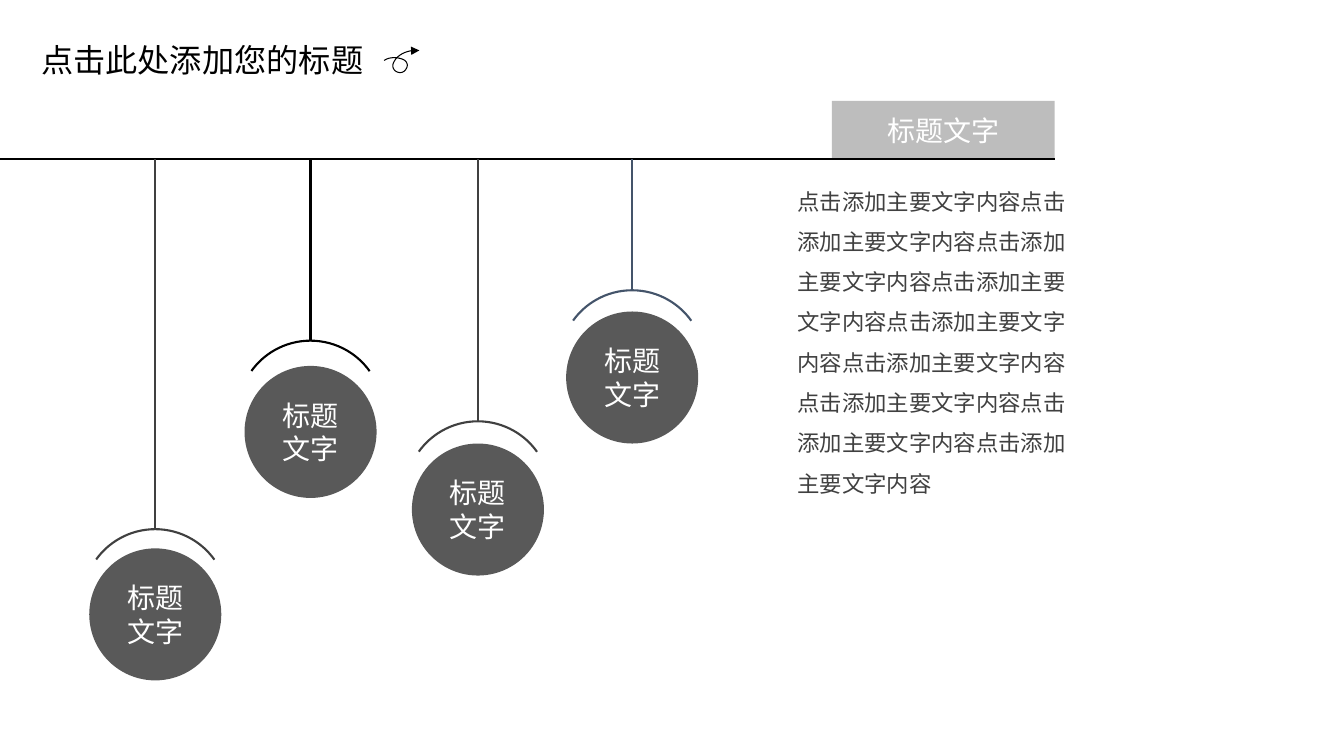
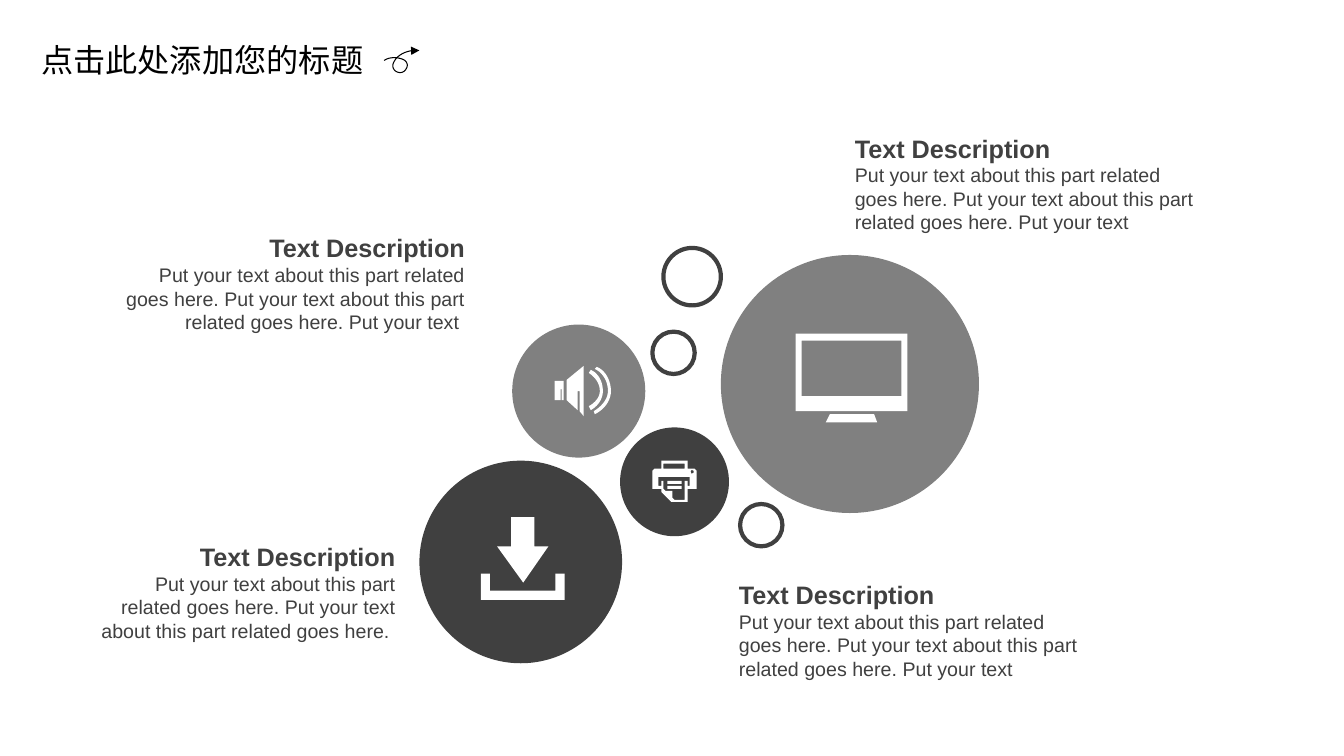
from dataclasses import dataclass

from lxml.etree import SubElement
from pptx import Presentation
from pptx.dml.color import RGBColor
from pptx.enum.shapes import MSO_CONNECTOR, MSO_SHAPE
from pptx.enum.text import MSO_ANCHOR, PP_ALIGN
from pptx.oxml.ns import qn
from pptx.util import Inches, Pt

ARC = MSO_SHAPE.ARC
OVAL = MSO_SHAPE.OVAL
RECTANGLE = MSO_SHAPE.RECTANGLE
STRAIGHT = MSO_CONNECTOR.STRAIGHT
LEFT = PP_ALIGN.LEFT
CENTER = PP_ALIGN.CENTER
RIGHT = PP_ALIGN.RIGHT
TOP = MSO_ANCHOR.TOP
MIDDLE = MSO_ANCHOR.MIDDLE


@dataclass(frozen=True)
class Theme:
    font: str = "Arial"
    black: str = "000000"
    white: str = "FFFFFF"
    dark: str = "404040"
    ball: str = "595959"
    grey: str = "808080"
    banner: str = "262626"
    navy: str = "44546A"
    title_size: float = 23
    label_size: float = 20
    heading_size: float = 18
    body_size: float = 16
    note_size: float = 14
    thin: float = 1.5
    thick: float = 3


THEME = Theme()

BODY_TEXT = "点击添加主要文字内容" * 9
SENTENCE = "Put your text about this part related goes here. "
RAIL_TOP = 1.58

PENDULUMS = [
    (1.54, 5.25, 5.44, THEME.dark),
    (3.08, 3.38, 3.63, THEME.black),
    (4.74, 4.18, 4.4, THEME.dark),
    (6.27, 2.88, 3.09, THEME.navy),
]

DESCRIPTIONS = [
    (1.01, 2.26, 3.7, RIGHT, SENTENCE * 2 + "Put your text "),
    (0.83, 5.32, 3.19, RIGHT, SENTENCE * 2),
    (8.38, 1.27, 3.7, LEFT, SENTENCE * 2 + "Put your text"),
    (7.23, 5.7, 3.7, LEFT, SENTENCE * 2 + "Put your text"),
]

DISCS = [
    (4.16, 4.57, 2.01, THEME.dark),
    (6.15, 4.24, 1.08, THEME.dark),
    (7.15, 2.53, 2.56, THEME.grey),
    (5.08, 3.22, 1.32, THEME.grey),
]

RINGS = [(6.58, 2.46, 0.57), (6.47, 3.29, 0.42), (7.34, 5, 0.42)]

SWIRL = [
    (3.81, 0.6),
    (3.85, 0.57, 3.93, 0.56, 4, 0.59),
    (4.04, 0.61, 4.05, 0.65, 4.03, 0.68),
    (4.01, 0.72, 3.97, 0.73, 3.93, 0.71),
    (3.9, 0.69, 3.89, 0.66, 3.9, 0.63),
    (3.93, 0.55, 4.03, 0.49, 4.16, 0.5),
]


def box_contour(left, top, right, bottom):
    return [(left, top), (right, top), (right, bottom), (left, bottom)]


SPEAKER = [
    [(6.03, 3.88), (6.03, 3.78, 5.98, 3.7, 5.9, 3.66), (5.92, 3.64),
     (6, 3.67, 6.06, 3.77, 6.06, 3.88), (6.06, 3.97, 6, 4.06, 5.9, 4.11),
     (5.89, 4.08), (5.97, 4.03, 6.03, 3.96, 6.03, 3.88)],
    [(5.95, 3.88), (5.95, 3.8, 5.9, 3.74, 5.84, 3.7), (5.86, 3.67),
     (5.93, 3.7, 5.98, 3.78, 5.98, 3.88), (5.98, 3.96, 5.93, 4.03, 5.86, 4.07),
     (5.84, 4.03), (5.9, 4, 5.95, 3.94, 5.95, 3.88)],
    [(5.62, 3.77), (5.62, 3.97), (5.73, 4.07), (5.73, 3.88), (5.75, 3.88),
     (5.75, 4.08), (5.79, 4.13), (5.79, 3.63)],
    [(5.5, 3.78), (5.5, 3.97), (5.56, 3.97), (5.56, 3.86), (5.57, 3.86),
     (5.57, 3.97), (5.59, 3.97), (5.59, 3.78)],
]

MONITOR = [
    [(8.23, 4.11), (8.67, 4.11), (8.7, 4.19), (8.19, 4.19)],
    box_contour(7.95, 3.38, 8.94, 3.93),
    box_contour(7.89, 3.31, 9, 4.08),
]

PRINTER = [
    [(6.89, 4.65), (6.82, 4.65), (6.82, 4.57), (6.56, 4.57), (6.56, 4.65),
     (6.49, 4.65), (6.47, 4.67), (6.47, 4.85), (6.56, 4.85), (6.56, 4.88),
     (6.66, 4.98), (6.82, 4.98), (6.82, 4.85), (6.91, 4.85), (6.91, 4.67)],
    box_contour(6.58, 4.6, 6.79, 4.65),
    [(6.84, 4.82), (6.82, 4.82), (6.82, 4.77), (6.79, 4.77), (6.79, 4.96),
     (6.69, 4.96), (6.67, 4.94), (6.67, 4.87), (6.6, 4.87), (6.58, 4.85),
     (6.58, 4.77), (6.56, 4.77), (6.56, 4.82), (6.53, 4.82), (6.53, 4.73),
     (6.84, 4.73)],
    [(6.85, 4.68), (6.86, 4.66), (6.88, 4.67), (6.88, 4.69), (6.86, 4.7)],
    box_contour(6.62, 4.77, 6.76, 4.8),
    box_contour(6.62, 4.82, 6.76, 4.85),
]

DOWNLOAD = [
    [(4.77, 5.69), (4.86, 5.69), (4.86, 5.86), (5.51, 5.86), (5.51, 5.69),
     (5.6, 5.69), (5.6, 5.95), (4.77, 5.95)],
    [(5.07, 5.13), (5.3, 5.13), (5.3, 5.42), (5.44, 5.42), (5.19, 5.78),
     (4.93, 5.42), (5.07, 5.42)],
]


def set_attributes(target, values):
    for name, value in values.items():
        setattr(target, name, value)


def write_text(shape, lines, size, color, align=LEFT, anchor=TOP, bold=False,
               wrap=True, insets=(0.1, 0.05), spacing=None):
    frame = shape.text_frame
    horizontal, vertical = map(Inches, insets)
    set_attributes(frame, {
        "word_wrap": wrap, "vertical_anchor": anchor,
        "margin_left": horizontal, "margin_right": horizontal,
        "margin_top": vertical, "margin_bottom": vertical,
    })
    for index, line in enumerate(lines):
        paragraph = frame.add_paragraph() if index else frame.paragraphs[0]
        set_attributes(paragraph, {"alignment": align, **(spacing or {})})
        run = paragraph.add_run()
        run.text = line
        set_attributes(run.font, {"name": THEME.font, "size": Pt(size), "bold": bold})
        run.font.color.rgb = RGBColor.from_string(color)


def add_text(slide, box, lines, size, color, **options):
    shape = slide.shapes.add_textbox(*map(Inches, box))
    write_text(shape, lines, size, color, **options)


def set_line(shape, color, width):
    shape.line.color.rgb = RGBColor.from_string(color)
    shape.line.width = Pt(width)


def style_shape(shape, fill=None, line=None, width=THEME.thin):
    shape.shadow.inherit = False
    if fill:
        shape.fill.solid()
        shape.fill.fore_color.rgb = RGBColor.from_string(fill)
    else:
        shape.fill.background()
    if line:
        set_line(shape, line, width)
    else:
        shape.line.fill.background()


def add_preset(slide, kind, box, **style):
    shape = slide.shapes.add_shape(kind, *map(Inches, box))
    style_shape(shape, **style)
    return shape


def add_line(slide, start, end, color):
    line = slide.shapes.add_connector(STRAIGHT, *map(Inches, start + end))
    set_line(line, color, THEME.thin)
    SubElement(line.element.spPr, qn("a:effectLst"))


def flatten(segments, steps=10):
    points = [segments[0]]
    for segment in segments[1:]:
        if len(segment) == 2:
            points.append(segment)
            continue
        controls = [points[-1], segment[:2], segment[2:4], segment[4:]]
        for step in range(1, steps + 1):
            t = step / steps
            weights = ((1 - t) ** 3, 3 * t * (1 - t) ** 2, 3 * t * t * (1 - t), t ** 3)
            points.append(tuple(
                sum(weight * control[axis] for weight, control in zip(weights, controls))
                for axis in (0, 1)))
    return [(Inches(x), Inches(y)) for x, y in points]


def add_outline(slide, contours, closed=True, **style):
    outlines = [flatten(contour) for contour in contours]
    builder = slide.shapes.build_freeform(*outlines[0][0], scale=1.0)
    for index, points in enumerate(outlines):
        if index:
            builder.move_to(*points[0])
        builder.add_line_segments(points[1:], close=closed)
    shape = builder.convert_to_shape()
    style_shape(shape, **style)
    return shape


def add_title(slide):
    add_text(slide, (0.31, 0.35, 3.43, 0.49), ["点击此处添加您的标题"],
             THEME.title_size, THEME.black, wrap=False)
    swirl = add_outline(slide, [SWIRL], closed=False, line=THEME.black, width=0.75)
    SubElement(swirl.element.spPr.find(qn("a:ln")), qn("a:tailEnd"), type="triangle")


def add_banner(slide):
    banner = add_preset(slide, RECTANGLE, (8.25, 1, 2.21, 0.58), fill=THEME.banner)
    color = banner.element.spPr.find(f"{qn('a:solidFill')}/{qn('a:srgbClr')}")
    SubElement(color, qn("a:alpha"), val="30000")
    write_text(banner, ["标题文字"], THEME.label_size, THEME.white,
               align=CENTER, anchor=MIDDLE)


def add_pendulum(slide, center, arc_top, ball_top, color):
    arc_size, ball_size = 1.44, 1.31
    add_line(slide, (center, RAIL_TOP), (center, arc_top), color)
    arc = add_preset(slide, ARC, (center - arc_size / 2, arc_top, arc_size, arc_size),
                     line=color)
    arc.adjustments[0] = 129.36
    arc.adjustments[1] = 194.76
    ball = add_preset(slide, OVAL,
                      (center - ball_size / 2, ball_top, ball_size, ball_size),
                      fill=THEME.ball)
    write_text(ball, ["标题", "文字"], THEME.label_size, THEME.white,
               align=CENTER, anchor=MIDDLE)


def add_description(slide, left, top, width, align, text):
    heading_width = 2.2
    heading_left = left + width - heading_width if align == RIGHT else left
    add_text(slide, (left, top + 0.3, width, 0.81), [text], THEME.note_size,
             THEME.dark, align=align, spacing={"space_after": Pt(6)})
    add_text(slide, (heading_left, top, heading_width, 0.4), ["Text Description"],
             THEME.heading_size, THEME.dark, align=align, bold=True)


def build_pendulum_slide(slide):
    add_title(slide)
    add_text(slide, (7.78, 1.66, 3.05, 3.37), [BODY_TEXT], THEME.body_size, THEME.dark,
             insets=(0.13, 0.07), spacing={"line_spacing": 1.5})
    add_banner(slide)
    add_line(slide, (0, RAIL_TOP), (10.46, RAIL_TOP), THEME.black)
    for pendulum in PENDULUMS:
        add_pendulum(slide, *pendulum)


def build_bubble_slide(slide):
    add_title(slide)
    for description in DESCRIPTIONS:
        add_description(slide, *description)
    for left, top, size, color in DISCS:
        add_preset(slide, OVAL, (left, top, size, size), fill=color)
    for left, top, size in RINGS:
        add_preset(slide, OVAL, (left, top, size, size), line=THEME.dark,
                   width=THEME.thick)
    for icon in (SPEAKER, MONITOR, PRINTER, DOWNLOAD):
        add_outline(slide, icon, fill=THEME.white)


def main():
    presentation = Presentation()
    presentation.slide_width = Inches(13.33)
    presentation.slide_height = Inches(7.5)
    blank = presentation.slide_layouts[6]
    for build in (build_pendulum_slide, build_bubble_slide):
        build(presentation.slides.add_slide(blank))
    presentation.save("out.pptx")


if __name__ == "__main__":
    main()
